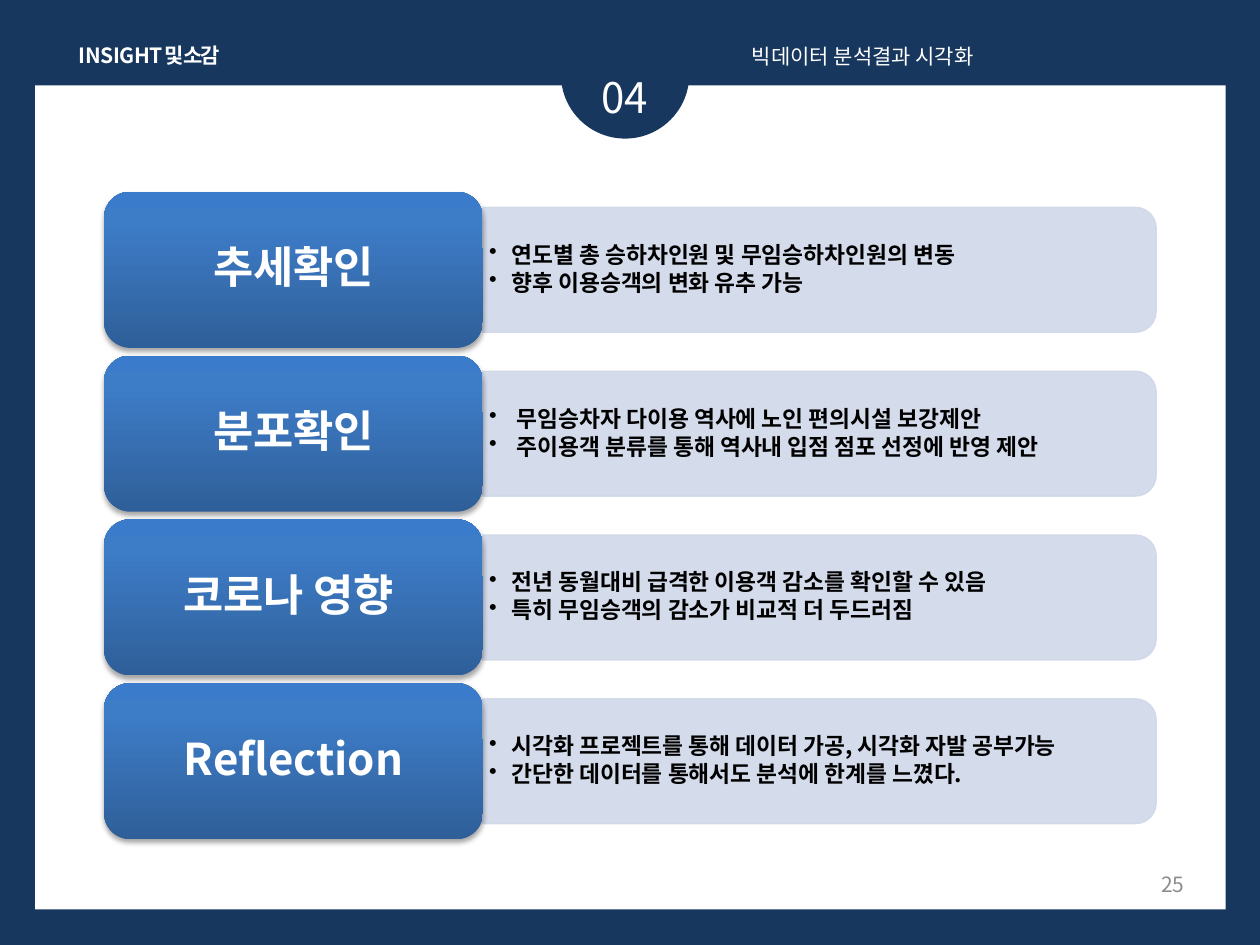
import pptx
import pptx.util
import pptx.dml.color
import pptx.enum.shapes
import pptx.enum.text
import pptx.oxml

Pt = pptx.util.Pt
Shape = pptx.enum.shapes.MSO_SHAPE
Align = pptx.enum.text.PP_ALIGN
Anchor = pptx.enum.text.MSO_ANCHOR
RGB = pptx.dml.color.RGBColor.from_string
FONT = "Noto Sans CJK KR"
NS = 'xmlns:a="http://schemas.openxmlformats.org/drawingml/2006/main"'
COLORS = {
    "navy": "17375E", "white": "FFFFFF", "black": "000000", "grey": "8C8C8C",
    "band": "D0D8E8", "low": "2F5F99", "middle": "3D7CC7", "high": "3A7CCB",
}

deck = pptx.Presentation()
deck.slide_width, deck.slide_height = Pt(720), Pt(540)
page = deck.slides.add_slide(deck.slide_layouts[6])
page.background.fill.solid()
page.background.fill.fore_color.rgb = RGB(COLORS["navy"])


def add_block(kind, left, top, width, height, color):
    block = page.shapes.add_shape(kind, Pt(left), Pt(top), Pt(width), Pt(height))
    block.shadow.inherit = False
    block.fill.solid()
    block.fill.fore_color.rgb = RGB(COLORS[color])
    block.line.fill.background()
    return block


def add_text(text, left, top, width, height, size=12, color="white", bold=False,
             align=Align.LEFT, anchor=Anchor.TOP, wrap=True, inset=(7.2, 3.6),
             spacing=None, after=None, indent=None, tracking=None):
    box = page.shapes.add_textbox(Pt(left), Pt(top), Pt(width), Pt(height))
    frame = box.text_frame
    frame.word_wrap = wrap
    frame.vertical_anchor = anchor
    frame.margin_left = frame.margin_right = Pt(inset[0])
    frame.margin_top = frame.margin_bottom = Pt(inset[1])
    frame.text = text
    for para in frame.paragraphs:
        para.alignment = align
        if spacing:
            para.line_spacing = spacing
        properties = para._p.get_or_add_pPr()
        if after:  # space after, as a percentage of the line
            properties.append(pptx.oxml.parse_xml(
                f'<a:spcAft {NS}><a:spcPct val="{after * 1000}"/></a:spcAft>'))
        if indent:  # hanging bullet
            para.level = 1
            properties.set("marL", str(int(Pt(indent))))
            properties.set("indent", str(-int(Pt(indent))))
            properties.append(pptx.oxml.parse_xml(f'<a:buChar {NS} char="•"/>'))
        for span in para.runs:
            span.font.size = Pt(size)
            span.font.bold = bold
            span.font.name = FONT
            span.font.color.rgb = RGB(COLORS[color])
            run_properties = span._r.get_or_add_rPr()
            run_properties.append(pptx.oxml.parse_xml(f'<a:ea {NS} typeface="{FONT}"/>'))
            if tracking:
                run_properties.set("spc", str(int(tracking * 100)))


# White panel, section number and header
add_block(Shape.RECTANGLE, 20, 48.8, 680.4, 470.8, "white")
add_block(Shape.OVAL, 320.5, 5.8, 73.4, 73.4, "navy")
add_text("04", 314.6, 37.4, 85, 36, size=24, align=Align.CENTER)
add_text("I N S I G H T 및 소감", 31.7, 20.9, 107.3, 21.6, bold=True,
         align=Align.CENTER, wrap=False, tracking=-1.5)
add_text("빅데이터 분석결과 시각화", 422.6, 21.6, 283.7, 21.6, align=Align.JUSTIFY)

# Rows: title, bullet indent, bullet lines
rows = [
    ("추세확인", 12.8, "연도별 총 승하차인원 및 무임승하차인원의 변동\n향후 이용승객의 변화 유추 가능"),
    ("분포확인", 15.8, "무임승차자 다이용 역사에 노인 편의시설 보강제안\n"
                   "주이용객 분류를 통해 역사내 입점 점포 선정에 반영 제안"),
    ("코로나 영향 ", 12.8, "전년 동월대비 급격한 이용객 감소를 확인할 수 있음\n"
                      "특히 무임승객의 감소가 비교적 더 두드러짐"),
    ("Reflection", 12.8, "시각화 프로젝트를 통해 데이터 가공, 시각화 자발 공부가능\n"
                         "간단한 데이터를 통해서도 분석에 한계를 느꼈다."),
]
ROW_TOP, ROW_STEP = 109.6, 93.6
CARD_LEFT, CARD_WIDTH, CARD_HEIGHT = 59.5, 216.4, 89.2
BAND_LENGTH, BAND_HEIGHT = 384.8, 71.4
CARD_GRADIENT = "".join(
    f'<a:gs pos="{position}"><a:srgbClr val="{COLORS[name]}"/></a:gs>'
    for position, name in ((0, "low"), (80000, "middle"), (100000, "high")))

for index, (title, indent, lines) in enumerate(rows):
    top = ROW_TOP + index * ROW_STEP
    middle = top + CARD_HEIGHT / 2
    band_left = CARD_LEFT + CARD_WIDTH

    # Pale band, a top-rounded rectangle turned to the right
    band = add_block(Shape.ROUND_2_SAME_RECTANGLE,
                     band_left + (BAND_LENGTH - BAND_HEIGHT) / 2, middle - BAND_LENGTH / 2,
                     BAND_HEIGHT, BAND_LENGTH, "band")
    band.rotation = 90
    band.line.color.rgb = RGB(COLORS["band"])
    band.line.width = Pt(0.75)
    for color in band._element.spPr.xpath(".//a:srgbClr"):
        color.append(pptx.oxml.parse_xml(f'<a:alpha {NS} val="90000"/>'))
    add_text(lines, band_left, middle - 32, BAND_LENGTH, 64, size=13, color="black", bold=True,
             anchor=Anchor.MIDDLE, inset=(3.6, 2.2), spacing=0.9, after=15, indent=indent)

    # Title card with gradient and shadow
    card = add_block(Shape.ROUNDED_RECTANGLE, CARD_LEFT, top, CARD_WIDTH, CARD_HEIGHT, "middle")
    properties = card._element.spPr
    solid = properties.xpath("a:solidFill")[0]
    properties.replace(solid, pptx.oxml.parse_xml(
        f'<a:gradFill {NS} rotWithShape="1"><a:gsLst>{CARD_GRADIENT}</a:gsLst>'
        '<a:lin ang="16200000" scaled="0"/></a:gradFill>'))
    properties.xpath("a:effectLst")[0].append(pptx.oxml.parse_xml(
        f'<a:outerShdw {NS} blurRad="{Pt(3.1)}" dist="{Pt(1.8)}" dir="5400000" rotWithShape="0">'
        f'<a:srgbClr val="{COLORS["black"]}"><a:alpha val="35000"/></a:srgbClr></a:outerShdw>'))
    add_text(title, CARD_LEFT + 4.4, top + 4.4, CARD_WIDTH - 8.8, CARD_HEIGHT - 8.8, size=25,
             bold=True, align=Align.CENTER, anchor=Anchor.MIDDLE, spacing=0.9, after=35)

# Page number
add_text("25", 516.2, 491, 167.8, 28.8, color="grey", align=Align.RIGHT, anchor=Anchor.MIDDLE)

deck.save("out.pptx")
